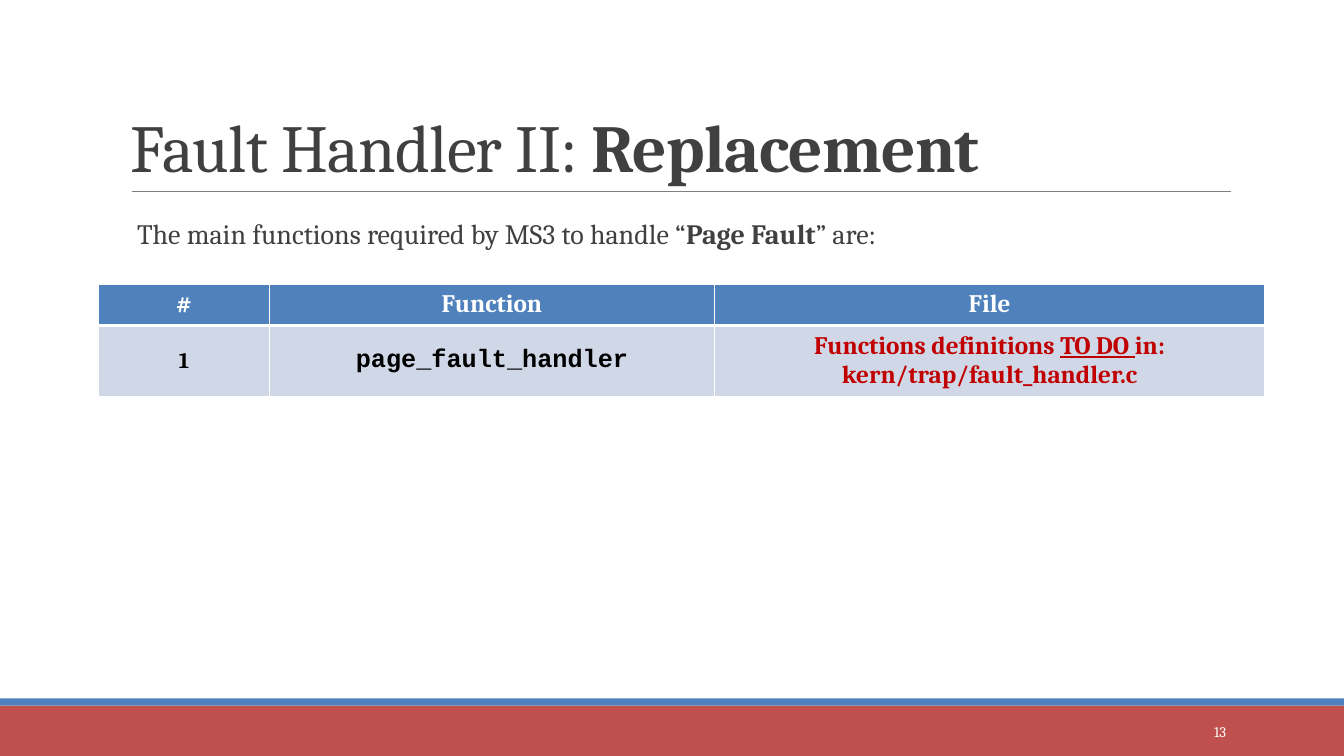
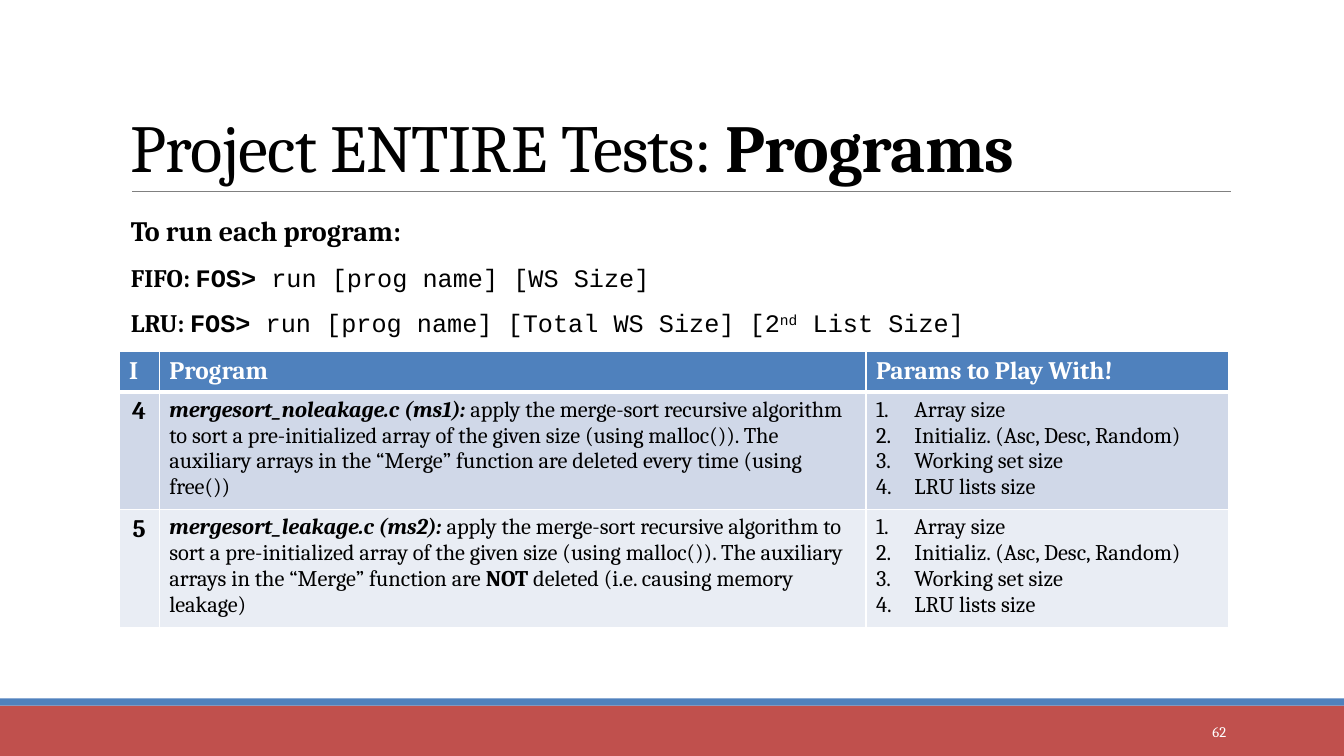
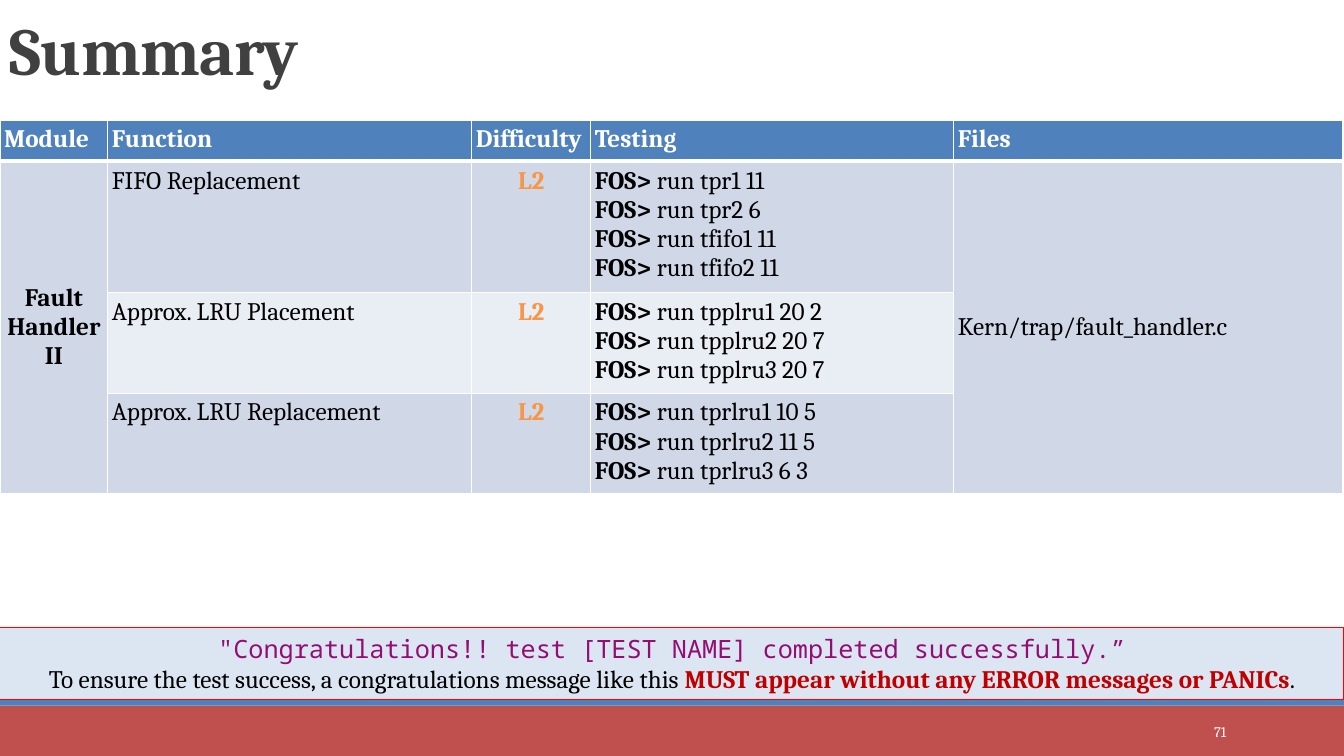
"""Build three course slides on page faults, test programs and a summary."""
from dataclasses import dataclass

from lxml.etree import SubElement as Sub
from pptx import Presentation
from pptx.dml.color import RGBColor as RGB
from pptx.enum.shapes import MSO_CONNECTOR as Link, MSO_SHAPE as Kind
from pptx.enum.text import MSO_ANCHOR as Anchor, PP_ALIGN as Align
from pptx.oxml import parse_xml
from pptx.oxml.ns import nsdecls, qn
from pptx.util import Inches, Pt


@dataclass(frozen=True)
class Theme:
    serif: str = "Cambria"
    code: str = "Courier New"
    mono: str = "Noto Sans Mono"
    black: str = "000000"
    white: str = "FFFFFF"
    dark: str = "404040"
    gray: str = "808080"
    blue: str = "4F81BD"
    brick: str = "C0504D"
    red: str = "C00000"
    edge: str = "FF0000"
    amber: str = "F79646"
    plum: str = "930D72"
    pale: str = "DCE6F2"
    bands: tuple = ("D0D8E8", "E9EDF4")
    head: float = 48
    lead: float = 20
    body: float = 18
    small: float = 16
    foot: float = 10.5


T = Theme()
WIDE, HIGH = 13.33, 7.5


@dataclass(frozen=True)
class Run:
    text: str
    size: float = T.body
    ink: str = T.black
    bold: bool = False
    slant: bool = False
    under: bool = False
    face: str = T.serif
    track: int = 0
    base: int = 0


@dataclass(frozen=True)
class Par:
    runs: tuple
    align: Align = Align.LEFT
    lead: float = 1
    left: float = 0
    count: bool = False


@dataclass(frozen=True)
class Cell:
    pars: tuple
    mid: bool = False


def line(*runs, **look):
    return Par(runs, **look)


def center(*runs):
    return line(*runs, align=Align.CENTER)


def fill_text(frame, pars):
    for num, par in enumerate(pars):
        para = frame.paragraphs[0] if num == 0 else frame.add_paragraph()
        props = para._p.get_or_add_pPr()
        if par.left:
            props.set("marL", str(Inches(par.left)))
        if par.count:
            props.set("indent", str(-Inches(par.left)))
            Sub(props, qn("a:buAutoNum"), type="arabicPeriod")
        para.alignment = par.align
        para.line_spacing = par.lead
        for item in par.runs:
            add_run(para, item)


def add_run(para, item):
    run = para.add_run()
    run.text = item.text
    font = run.font
    font.name, font.size = item.face, Pt(item.size)
    font.bold, font.italic, font.underline = item.bold, item.slant, item.under
    font.color.rgb = RGB.from_string(item.ink)
    props = run._r.get_or_add_rPr()
    if item.track:
        props.set("spc", str(item.track))
    if item.base:
        props.set("baseline", str(item.base))


def add_text(slide, box, pars, anchor=Anchor.TOP, side=0.1):
    frame = slide.shapes.add_textbox(*map(Inches, box)).text_frame
    frame.word_wrap = True
    frame.vertical_anchor = anchor
    frame.margin_left = frame.margin_right = Inches(side)
    fill_text(frame, pars)


def add_rect(slide, box, fill, edge=None):
    shape = slide.shapes.add_shape(Kind.RECTANGLE, *map(Inches, box))
    shape.shadow.inherit = False
    shape.fill.solid()
    shape.fill.fore_color.rgb = RGB.from_string(fill)
    if edge:
        shape.line.color.rgb = RGB.from_string(edge)
        shape.line.width = Pt(0.75)
    else:
        shape.line.fill.background()
    return shape


def add_rule(slide):
    rule = slide.shapes.add_connector(
        Link.STRAIGHT, *map(Inches, (1.31, 1.9, 12.21, 1.9)))
    rule.line.color.rgb = RGB.from_string(T.gray)
    rule.line.width = Pt(0.5)
    Sub(rule._element.spPr, qn("a:effectLst"))


def add_slide(deck, page, box, title, rule=True):
    slide = deck.slides.add_slide(deck.slide_layouts[6])
    add_rect(slide, (0, 7, WIDE, 0.5), T.brick)
    add_rect(slide, (0, 6.93, WIDE, 0.07), T.blue)
    if rule:
        add_rule(slide)
    add_text(slide, box, [line(*title, lead=0.85)], Anchor.BOTTOM)
    add_text(slide, (10.83, 7.06, 1.43, 0.4),
             [line(Run(page, T.foot, T.white), align=Align.RIGHT)],
             Anchor.MIDDLE)
    return slide


def title_run(text, ink=T.dark, bold=False):
    return Run(text, T.head, ink, bold, track=-50)


def set_edges(cell, row):
    widths = {"L": 1, "R": 1, "T": 3 if row == 1 else 1,
              "B": 3 if row == 0 else 1}
    props = cell._tc.get_or_add_tcPr()
    for spot, (side, width) in enumerate(widths.items()):
        props.insert(spot, parse_xml(
            f'<a:ln{side} {nsdecls("a")} w="{Pt(width)}"><a:solidFill>'
            f'<a:srgbClr val="{T.white}"/></a:solidFill></a:ln{side}>'))


def add_table(slide, spot, cols, highs, rows, side=0.1):
    box = (*spot, sum(cols), sum(highs))
    table = slide.shapes.add_table(
        len(rows), len(cols), *map(Inches, box)).table
    table.first_row = table.horz_banding = False
    for col, width in zip(table.columns, cols):
        col.width = Inches(width)
    for row, high in zip(table.rows, highs):
        row.height = Inches(high)
    for r, row in enumerate(rows):
        for c, data in enumerate(row):
            cell = table.cell(r, c)
            cell.fill.solid()
            shade = T.bands[(r - 1) % 2] if r else T.blue
            cell.fill.fore_color.rgb = RGB.from_string(shade)
            cell.margin_left = cell.margin_right = Inches(side)
            set_edges(cell, r)
            if data:
                mid = Anchor.MIDDLE if data.mid else Anchor.TOP
                cell.vertical_anchor = mid
                fill_text(cell.text_frame, data.pars)
    return table


def head_row(*names, align=Align.LEFT):
    return [Cell((line(Run(name, ink=T.white, bold=True), align=align),))
            for name in names]


def fault_slide(deck):
    slide = add_slide(deck, "13", (1.2, 0.31, 12.13, 1.59),
                      [title_run("Fault Handler II: "),
                       title_run("Replacement", bold=True)])
    add_text(slide, (1.26, 2.14, 11, 4.4), [line(
        Run("The main functions required by MS3 to handle “", T.lead, T.dark),
        Run("Page Fault", T.lead, T.dark, True),
        Run("” are:", T.lead, T.dark), lead=0.9, left=0.1)], side=0)
    file = center(Run("Functions definitions ", ink=T.red, bold=True),
                  Run("TO DO ", ink=T.red, bold=True, under=True),
                  Run("in: kern/trap/fault_handler.c", ink=T.red, bold=True))
    name = center(Run("page_fault_handler", bold=True, face=T.code))
    row = [Cell((par,), True)
           for par in (center(Run("1", T.small, bold=True)), name, file)]
    add_table(slide, (0.98, 2.82), (1.69, 4.42, 5.45), (0.41, 0.66),
              [head_row("#", "Function", "File", align=Align.CENTER), row])


def shell_line(label, *rest):
    return line(Run(label, bold=True), Run("FOS>", bold=True, face=T.code),
                *rest, lead=1.5)


def code_run(text, base=0):
    return Run(text, face=T.code, base=base)


def test_row(num, name, *rest):
    params = ("Array size", "Initializ. (Asc, Desc, Random)",
              "Working set size", "LRU lists size")
    return [Cell((center(Run(num, bold=True)),)),
            Cell((line(Run(name, T.small, bold=True, slant=True), *rest),)),
            Cell(tuple(line(Run(text, T.small), left=0.38, count=True)
                       for text in params))]


def tests_slide(deck):
    slide = add_slide(deck, "62", (1.2, 0.31, 11, 1.59),
                      [title_run("Project ENTIRE Tests: ", T.black),
                       title_run("Programs", T.black, True)])
    task = ("apply the merge-sort recursive algorithm to sort a "
            "pre-initialized array of the given size (using malloc()). "
            "The auxiliary arrays in the “Merge” function are ")
    rows = [head_row("I", "Program", "Params to Play With!"),
            test_row("4", "mergesort_noleakage.c (ms1): ",
                     Run(task + "deleted every time (using free())", T.small)),
            test_row("5", "mergesort_leakage.c (ms2): ", Run(task, T.small),
                     Run("NOT ", T.small, bold=True),
                     Run("deleted (i.e. causing memory leakage)", T.small))]
    add_table(slide, (1.18, 3.49), (0.4, 7.01, 3.6), (0.39, 1.12, 1.12), rows)
    add_text(slide, (1.2, 1.9, 8.69, 1.48), [
        line(Run("To run each program:", T.lead, bold=True), lead=1.5),
        shell_line("FIFO: ", code_run(" run [prog name] [WS Size]")),
        shell_line("LRU: ",
                   code_run(" run [prog name] [Total WS Size] [2"),
                   code_run("nd", 30000), code_run(" List Size]"))])


def sum_row(name, *tests):
    runs = tuple(line(Run("FOS> ", bold=True), Run("run " + test))
                 for test in tests)
    level = center(Run("L2", ink=T.amber, bold=True))
    return [None, Cell((line(Run(name)),)), Cell((level,)), Cell(runs), None]


def sum_slide(deck):
    slide = add_slide(deck, "71", (0, 0.01, 11, 0.92),
                      [title_run("Summary", bold=True)], rule=False)
    rows = [head_row("Module", "Function", "Difficulty", "Testing", "Files"),
            sum_row("FIFO Replacement",
                    "tpr1 11", "tpr2 6", "tfifo1 11", "tfifo2 11"),
            sum_row("Approx. LRU Placement",
                    "tpplru1 20 2", "tpplru2 20 7", "tpplru3 20 7"),
            sum_row("Approx. LRU Replacement",
                    "tprlru1 10 5", "tprlru2 11 5", "tprlru3 6 3")]
    rows[1][0] = Cell((center(Run("Fault Handler II", bold=True)),), True)
    rows[1][4] = Cell((line(Run("Kern/trap/fault_handler.c")),), True)
    table = add_table(slide, (0, 1.19), (1.07, 3.61, 1.18, 3.6, 3.86),
                      (0.41, 1.25, 0.96, 0.96), rows, side=0.04)
    for col in (0, 4):
        table.cell(1, col).merge(table.cell(3, col))
    note = add_rect(slide, (0, 6.23, WIDE, 0.71), T.pale, T.edge)
    note.text_frame.word_wrap = True
    note.text_frame.vertical_anchor = Anchor.TOP
    fill_text(note.text_frame, [
        center(Run('"Congratulations!! test [TEST NAME] completed '
                   'successfully.”', ink=T.plum, face=T.mono)),
        center(Run("To ensure the test success, a congratulations message "
                   "like this "),
               Run("MUST appear without any ERROR messages or PANICs",
                   ink=T.red, bold=True), Run("."))])


def main():
    deck = Presentation()
    deck.slide_width, deck.slide_height = Inches(WIDE), Inches(HIGH)
    for build in (fault_slide, tests_slide, sum_slide):
        build(deck)
    deck.save("out.pptx")


if __name__ == "__main__":
    main()
